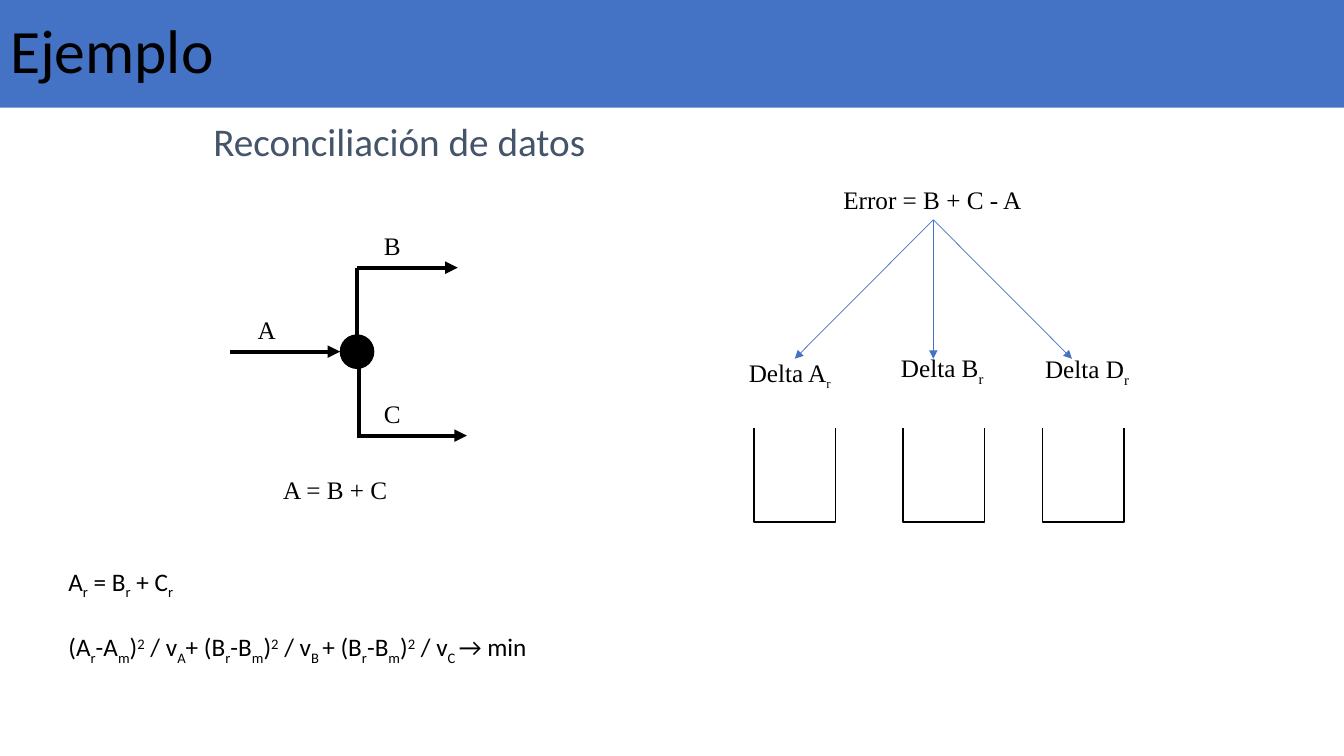
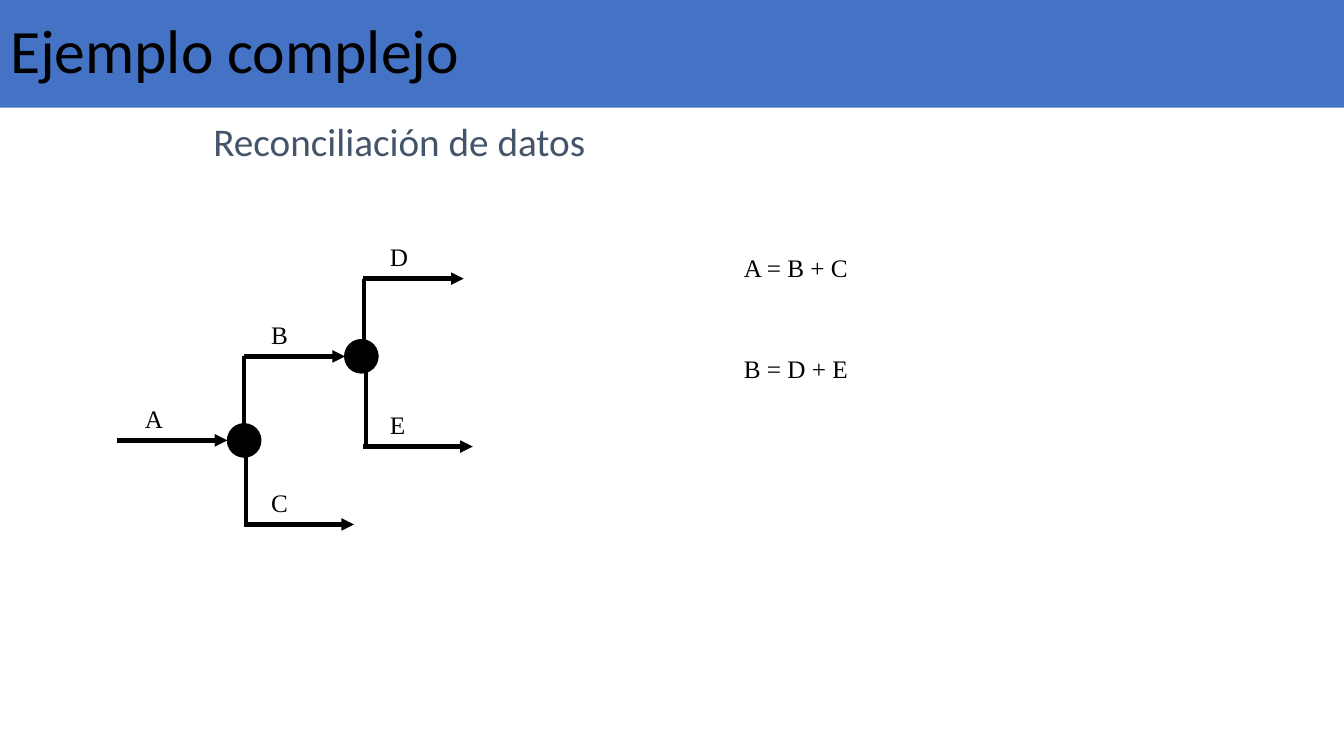
from lxml.etree import SubElement
from pptx import Presentation
from pptx.dml.color import RGBColor
from pptx.enum.shapes import MSO_CONNECTOR, MSO_SHAPE
from pptx.enum.text import MSO_ANCHOR, MSO_AUTO_SIZE, PP_ALIGN
from pptx.oxml.ns import qn
from pptx.util import Pt

# Shared look
BLUE = RGBColor(0x44, 0x72, 0xC4)
SLATE = RGBColor(0x44, 0x54, 0x6A)
BLACK = RGBColor(0, 0, 0)
SANS, SERIF = "Calibri", "Times New Roman"
WIDTH, HEIGHT, BAND_HEIGHT = 960, 540, 77
SUBTITLE = "Reconciliación de datos"

# Splitter geometry, measured from the junction of its streams
NODE_SIZE = 24
STREAM_HEIGHT = 60
STUB_LENGTH = 54
INLET_LENGTH, UPPER_LENGTH, LOWER_LENGTH = 78.5, 72, 78.5
LABEL_RISE = 30

# Slide content; "|" separates runs, "_" opens a subscript and "^" a superscript
SIMPLE = {
    "title": "Ejemplo",
    "splitters": [{"junction": (255, 251.2), "streams": "ABC"}],
    "equations": [("A = B + C", 195.2, 335.6), ("Error = B + C - A", 595.3, 128.2)],
}
COMPLEX = {
    "title": "Ejemplo complejo",
    "splitters": [
        {"junction": (174.4, 314.6), "streams": "ABC"},
        {"junction": (259.2, 259), "streams": " DE", "node_shift": (-1.1, -4.5)},
    ],
    "equations": [("A = B + C", 524.2, 177), ("B = D + E", 524.2, 249)],
}
RECONCILIATION = [
    "A|_r| = B|_r| + C|_r",
    "(A|_r|-A|_m|)|^2| / v|_A|+ (B|_r|-B|_m|)|^2| / v|_B |"
    "+ (B|_r|-B|_m|)|^2| / v|_C |→ min",
]
# Error shares: label, label left and top, subscript size, bin left
SHARES = [
    ("Delta A|_r", 527.8, 252, 16, 538.6),
    ("Delta B|_r", 636.5, 248.4, 18, 645.1),
    ("Delta D|_r", 739.4, 249.1, 18, 744.5),
]
ERROR_POINT = (666.7, 157)
SHARE_SPREAD, SHARE_DROP = 99, 99.3
BIN_TOP, BIN_WIDTH, BIN_HEIGHT = 306, 58.3, 67


def style_runs(paragraph, size, font, color):
    for run in paragraph.runs:
        run.font.size = Pt(size)
        run.font.name = font
        run.font.color.rgb = color


def add_runs(paragraph, marked_text, size, font, script_size=None):
    for piece in marked_text.split("|"):
        run = paragraph.add_run()
        run.text = piece.lstrip("_^")
    style_runs(paragraph, size, font, BLACK)
    for run, piece in zip(paragraph.runs, marked_text.split("|")):
        if piece[0] in "_^":
            run.font.size = Pt(script_size or size)
            baseline = "-25000" if piece[0] == "_" else "30000"
            run._r.get_or_add_rPr().set("baseline", baseline)


def add_text(slide, lines, left, top, width, height=29, font=SERIF,
             script_size=None, gap=0):
    text_frame = slide.shapes.add_textbox(
        Pt(left), Pt(top), Pt(width), Pt(height)).text_frame
    text_frame.word_wrap = True
    for index, line in enumerate(lines):
        paragraph = text_frame.add_paragraph() if index else text_frame.paragraphs[0]
        if index:
            paragraph.space_before = Pt(gap)
        add_runs(paragraph, line, 18, font, script_size)
    return text_frame


def add_line(slide, start, end, color=BLACK, weight=3, arrow=False):
    connector = slide.shapes.add_connector(
        MSO_CONNECTOR.STRAIGHT, *(Pt(value) for value in (*start, *end)))
    connector.line.color.rgb = color
    connector.line.width = Pt(weight)
    properties = connector._element.spPr
    if arrow:
        SubElement(properties.find(qn("a:ln")), qn("a:tailEnd"), type="triangle")
    SubElement(properties, qn("a:effectLst"))


def add_splitter(slide, junction, streams, node_shift=(0, 0)):
    x, y = junction
    inlet, upper, lower = streams
    upper_y, lower_y = y - STREAM_HEIGHT, y + STREAM_HEIGHT
    inlet_end = x - NODE_SIZE / 2

    # Streams: name, start, length, label left
    rows = [
        (inlet, inlet_end - INLET_LENGTH, y, INLET_LENGTH, x - 78),
        (upper, x, upper_y, UPPER_LENGTH, x + 12.2),
        (lower, x, lower_y, LOWER_LENGTH, x + 12.2),
    ]
    for name, left, level, length, label_left in rows:
        if name.strip():
            add_line(slide, (left, level), (left + length, level), arrow=True)
            add_text(slide, [name], label_left, level - LABEL_RISE, 42)

    # Stubs between the node and its two outlets
    stub_x = x - node_shift[0]
    add_line(slide, (stub_x, upper_y + STUB_LENGTH), (stub_x, upper_y))
    add_line(slide, (stub_x + 1.2, lower_y), (stub_x + 1.2, lower_y - STUB_LENGTH))

    # Node
    node = slide.shapes.add_shape(
        MSO_SHAPE.OVAL, Pt(x + node_shift[0] - NODE_SIZE / 2),
        Pt(y + node_shift[1] - NODE_SIZE / 2), Pt(NODE_SIZE), Pt(NODE_SIZE))
    node.shadow.inherit = False
    node.fill.solid()
    node.fill.fore_color.rgb = BLACK
    node.line.color.rgb = BLACK
    node.line.width = Pt(0.75)


def add_bin(slide, left):
    right, bottom = left + BIN_WIDTH, BIN_TOP + BIN_HEIGHT
    builder = slide.shapes.build_freeform(Pt(left), Pt(BIN_TOP))
    corners = [(left, bottom), (right, bottom), (right, BIN_TOP)]
    builder.add_line_segments([(Pt(x), Pt(y)) for x, y in corners], close=False)
    outline = builder.convert_to_shape()
    outline.shadow.inherit = False
    outline.fill.background()
    outline.line.color.rgb = BLACK
    outline.line.width = Pt(1)


def add_error_shares(slide):
    x, y = ERROR_POINT
    for index, (label, left, top, script_size, bin_left) in enumerate(SHARES):
        end = (x + (index - 1) * SHARE_SPREAD, y + SHARE_DROP)
        add_line(slide, ERROR_POINT, end, BLUE, 0.5, arrow=True)
        add_text(slide, [label], left, top, 86, script_size=script_size)
        add_bin(slide, bin_left)


def add_slide(presentation, content):
    slide = presentation.slides.add_slide(presentation.slide_layouts[5])

    # Title band
    title = slide.shapes.title
    title.left, title.top, title.width, title.height = (
        Pt(value) for value in (0, 0, WIDTH, BAND_HEIGHT))
    title.fill.solid()
    title.fill.fore_color.rgb = BLUE
    title.text_frame.text = content["title"]
    title.text_frame.vertical_anchor = MSO_ANCHOR.MIDDLE
    title.text_frame.auto_size = MSO_AUTO_SIZE.NONE
    paragraph = title.text_frame.paragraphs[0]
    paragraph.alignment = PP_ALIGN.LEFT
    paragraph.line_spacing = 0.9
    style_runs(paragraph, 44, SANS, BLACK)

    # Subtitle
    subtitle = add_text(slide, [SUBTITLE], 145.4, 80.6, 485, 41, SANS)
    style_runs(subtitle.paragraphs[0], 28, SANS, SLATE)

    # Flow diagram and balances
    for splitter in content["splitters"]:
        add_splitter(slide, **splitter)
    for equation, left, top in content["equations"]:
        add_text(slide, [equation], left, top, 168)
    return slide


def main():
    presentation = Presentation()
    presentation.slide_width, presentation.slide_height = Pt(WIDTH), Pt(HEIGHT)

    simple_slide = add_slide(presentation, SIMPLE)
    add_text(simple_slide, RECONCILIATION, 41.8, 401, 380, 73, SANS, gap=22)
    add_error_shares(simple_slide)
    add_slide(presentation, COMPLEX)

    presentation.save("out.pptx")


if __name__ == "__main__":
    main()
